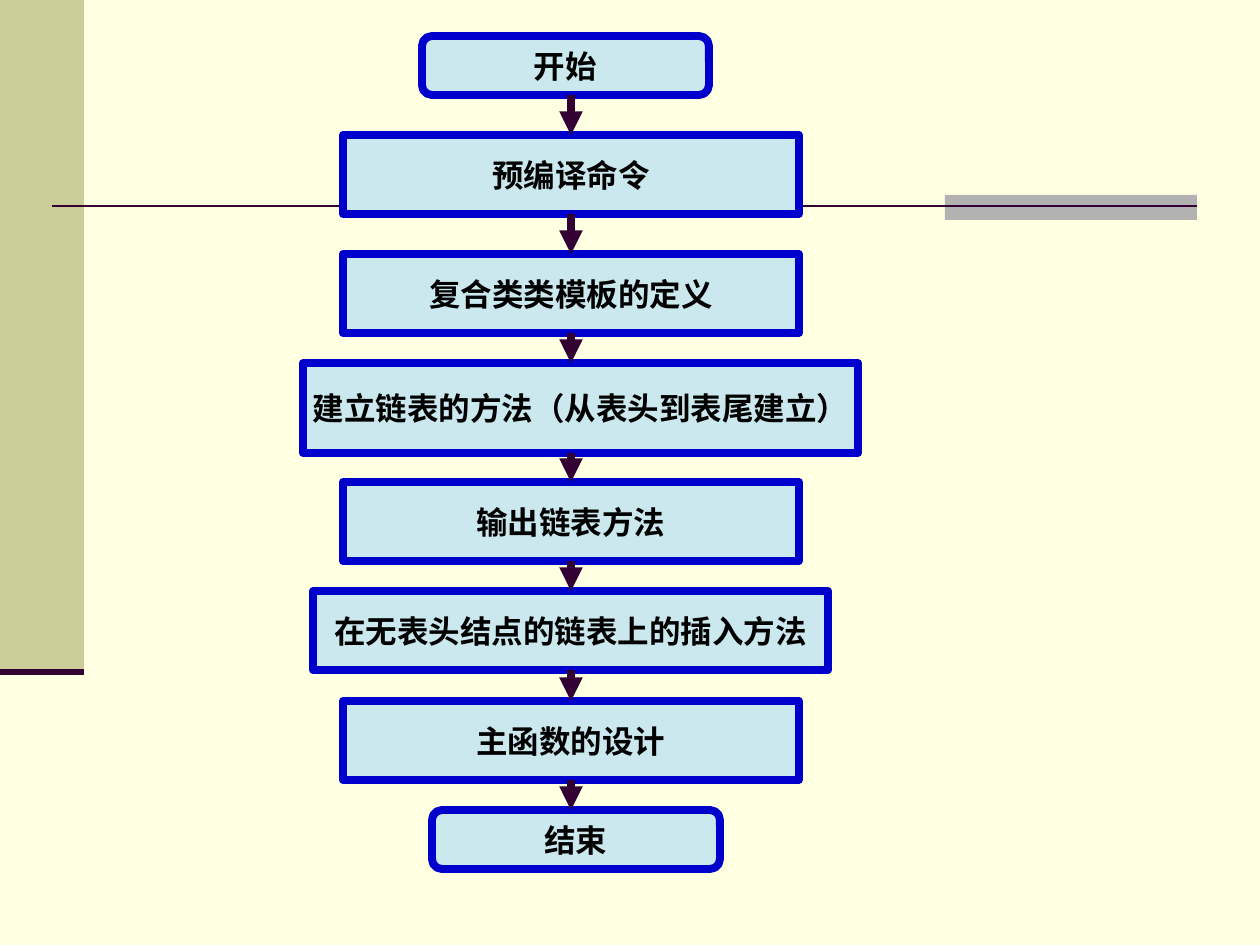
from itertools import pairwise

from lxml.etree import SubElement
from pptx import Presentation
from pptx.dml.color import RGBColor
from pptx.enum.shapes import MSO_CONNECTOR as Connector, MSO_SHAPE as Shape
from pptx.enum.text import MSO_ANCHOR as Anchor, PP_ALIGN as Align
from pptx.oxml.ns import qn
from pptx.util import Emu, Pt

EMU_PER_PX = 914400 / 126

CREAM, KHAKI, GREY = "FFFFE1", "CCCC99", "B2B2B2"
PLUM, BLUE, PALE_BLUE, BLACK = "330033", "0000CC", "CAE8EE", "000000"


def px(length):
    return Emu(round(length * EMU_PER_PX))


def color(value):
    return RGBColor.from_string(value)


def write(frame, text, size=18, font="Arial", ink=BLACK, bold=True):
    frame.word_wrap = False
    frame.vertical_anchor = Anchor.MIDDLE
    paragraph = frame.paragraphs[0]
    paragraph.alignment = Align.CENTER
    run = paragraph.add_run()
    run.text = text
    run.font.size = Pt(size)
    run.font.name = font
    run.font.bold = bold
    run.font.color.rgb = color(ink)


class Flowchart:
    """Holds the flowchart style and the slide being drawn."""

    border = 4.5
    axis = 571

    def __init__(self, slide):
        self.slide = slide
        slide.background.fill.solid()
        slide.background.fill.fore_color.rgb = color(CREAM)

    def block(self, left, top, width, height, fill, kind=Shape.RECTANGLE):
        block = self.slide.shapes.add_shape(
            kind, px(left), px(top), px(width), px(height))
        block.shadow.inherit = False
        block.fill.solid()
        block.fill.fore_color.rgb = color(fill)
        block.line.fill.background()
        return block

    def step(self, text, left, top, width, height, kind):
        step = self.block(left, top, width, height, PALE_BLUE, kind)
        step.line.color.rgb = color(BLUE)
        step.line.width = Pt(self.border)
        write(step.text_frame, text)

    def rule(self, x1, y1, x2, y2, weight):
        rule = self.slide.shapes.add_connector(
            Connector.STRAIGHT, px(x1), px(y1), px(x2), px(y2))
        rule.line.color.rgb = color(PLUM)
        rule.line.width = Pt(weight)
        SubElement(rule.line._get_or_add_ln().getparent(), qn("a:effectLst"))
        return rule

    def arrow(self, top, bottom):
        arrow = self.rule(self.axis, top, self.axis, bottom, self.border)
        SubElement(arrow.line._get_or_add_ln(), qn("a:tailEnd"), type="triangle")


def main():
    deck = Presentation()
    deck.slide_width, deck.slide_height = px(1260), px(945)
    chart = Flowchart(deck.slides.add_slide(deck.slide_layouts[6]))

    chart.block(0, 0, 84, 672, KHAKI)
    chart.block(945, 195, 252, 25, GREY)
    chart.rule(52, 206, 1197, 206, 1.5)
    chart.rule(0, 672, 84, 672, 3.5)

    terminal, process = Shape.FLOWCHART_ALTERNATE_PROCESS, Shape.FLOWCHART_PROCESS
    steps = [
        ("开始", 422, 36, 287, 59, terminal),
        ("预编译命令", 343, 135, 456, 79, process),
        ("复合类类模板的定义", 343, 254, 456, 79, process),
        ("建立链表的方法（从表头到表尾建立）", 303, 363, 555, 90, process),
        ("输出链表方法", 343, 482, 456, 79, process),
        ("在无表头结点的链表上的插入方法", 313, 591, 515, 79, process),
        ("主函数的设计", 343, 701, 456, 79, process),
        ("结束", 432, 810, 288, 59, terminal),
    ]
    for step in steps:
        chart.step(*step)
    for (_, _, top, _, height, _), (_, _, next_top, *_) in pairwise(steps):
        chart.arrow(top + height, next_top)

    deck.save("out.pptx")


if __name__ == "__main__":
    main()
